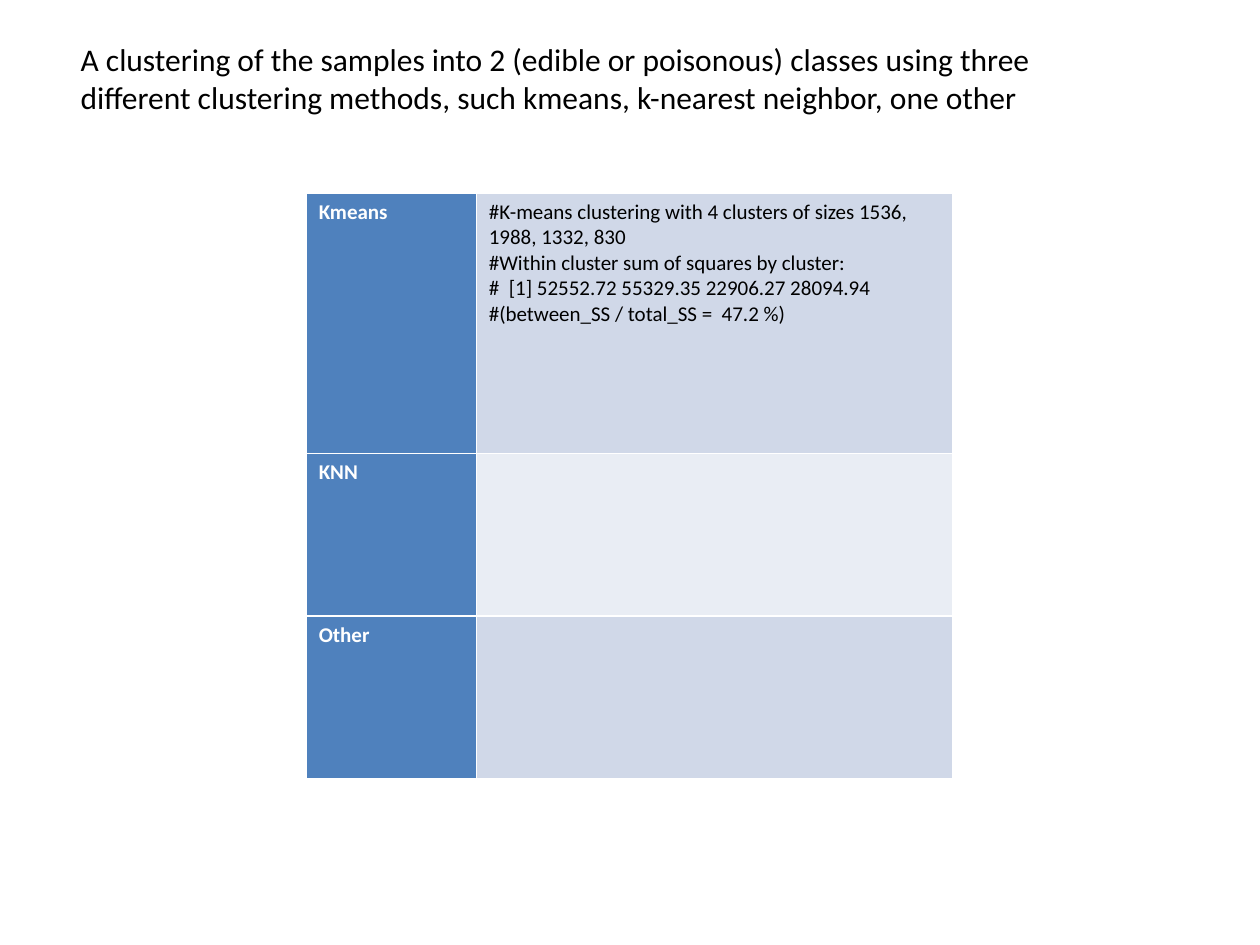
from dataclasses import dataclass

from lxml import etree
from pptx import Presentation
from pptx.dml.color import RGBColor
from pptx.enum.text import MSO_ANCHOR, MSO_AUTO_SIZE, PP_ALIGN
from pptx.oxml.ns import qn
from pptx.util import Inches, Pt

TOP = MSO_ANCHOR.TOP
LEFT = PP_ALIGN.LEFT
NO_AUTOFIT = MSO_AUTO_SIZE.NONE
TITLE_ONLY = 5


@dataclass(frozen=True)
class Theme:
    font: str = "Calibri"
    title_size: int = 18
    table_size: int = 12
    ink: str = "000000"
    white: str = "FFFFFF"
    method_fill: str = "4F81BD"
    band_fills: tuple = ("D0D8E8", "E9EDF4")
    border_width: int = 1


THEME = Theme()

HEADING = (
    "A clustering of the samples into 2 (edible or poisonous) classes using three "
    "different clustering methods, such kmeans, k-nearest neighbor, one other"
)
METHODS = [
    ("Kmeans", [
        "#K-means clustering with 4 clusters of sizes 1536, 1988, 1332, 830",
        "#Within cluster sum of squares by cluster:",
        "#  [1] 52552.72 55329.35 22906.27 28094.94",
        "#(between_SS / total_SS =  47.2 %)",
    ]),
    ("KNN", []),
    ("Other", []),
]
HEADING_BOX = (0.54, 0.27, 8.1, 0.71)
TABLE_ORIGIN = (2.43, 1.53)
COLUMN_WIDTHS = (1.35, 3.78)
ROW_HEIGHTS = (2.07, 1.29, 1.29)


def write_lines(frame, lines, size, color, bold=False):
    for index, line in enumerate(lines):
        paragraph = frame.paragraphs[0] if index == 0 else frame.add_paragraph()
        paragraph.alignment = LEFT
        run = paragraph.add_run()
        run.text = line
        run.font.name = THEME.font
        run.font.size = Pt(size)
        run.font.bold = bold
        run.font.color.rgb = RGBColor.from_string(color)


def add_borders(cell):
    properties = cell._tc.get_or_add_tcPr()
    for side in ("lnL", "lnR", "lnT", "lnB"):
        border = etree.SubElement(properties, qn(f"a:{side}"), w=str(Pt(THEME.border_width)))
        fill = etree.SubElement(border, qn("a:solidFill"))
        etree.SubElement(fill, qn("a:srgbClr"), val=THEME.white)


def fill_cell(cell, lines, fill, color, bold):
    add_borders(cell)
    cell.fill.solid()
    cell.fill.fore_color.rgb = RGBColor.from_string(fill)
    write_lines(cell.text_frame, lines, THEME.table_size, color, bold)


def add_heading(slide):
    heading = slide.shapes.title
    heading.left, heading.top, heading.width, heading.height = map(Inches, HEADING_BOX)
    frame = heading.text_frame
    frame.word_wrap = True
    frame.auto_size = NO_AUTOFIT
    frame.vertical_anchor = TOP
    write_lines(frame, [HEADING], THEME.title_size, THEME.ink)


def add_methods(slide):
    size = (sum(COLUMN_WIDTHS), sum(ROW_HEIGHTS))
    methods = slide.shapes.add_table(
        len(METHODS), len(COLUMN_WIDTHS), *map(Inches, TABLE_ORIGIN + size)
    ).table
    methods.first_row = False
    methods.horz_banding = False
    for column, width in zip(methods.columns, COLUMN_WIDTHS):
        column.width = Inches(width)
    for index, (method, results) in enumerate(METHODS):
        methods.rows[index].height = Inches(ROW_HEIGHTS[index])
        band = THEME.band_fills[index % len(THEME.band_fills)]
        fill_cell(methods.cell(index, 0), [method], THEME.method_fill, THEME.white, True)
        fill_cell(methods.cell(index, 1), results, band, THEME.ink, False)


def main():
    deck = Presentation()
    deck.slide_width, deck.slide_height = Inches(10), Inches(7.5)
    slide = deck.slides.add_slide(deck.slide_layouts[TITLE_ONLY])
    add_heading(slide)
    add_methods(slide)
    deck.save("out.pptx")


if __name__ == "__main__":
    main()
